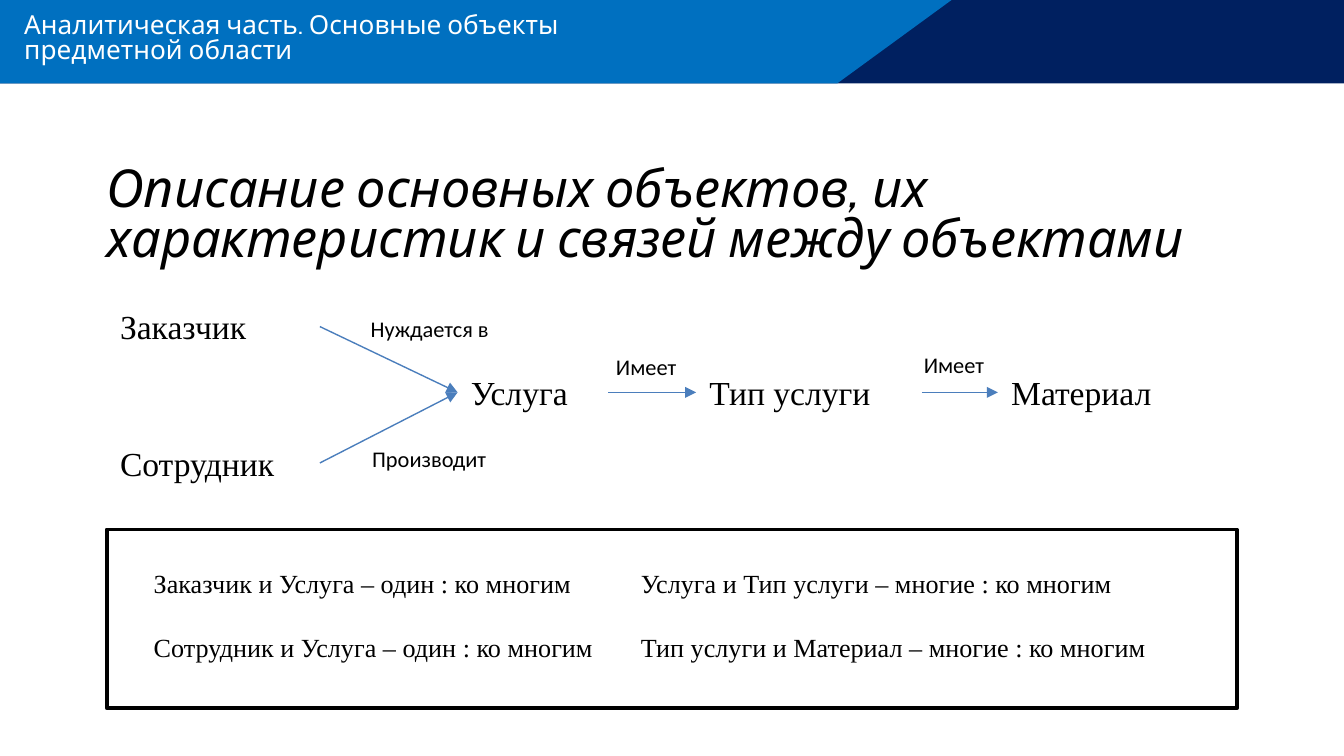
"""Build the slide describing the main objects of the domain and their relations."""
from lxml import etree
from pptx import Presentation
from pptx.dml.color import RGBColor
from pptx.enum.shapes import MSO_CONNECTOR, MSO_SHAPE
from pptx.enum.text import MSO_ANCHOR, MSO_AUTO_SIZE, PP_ALIGN
from pptx.oxml.ns import qn
from pptx.util import Pt

STRAIGHT = MSO_CONNECTOR.STRAIGHT
RECTANGLE = MSO_SHAPE.RECTANGLE
TOP, LEFT = MSO_ANCHOR.TOP, PP_ALIGN.LEFT
NO_FIT = MSO_AUTO_SIZE.NONE
RIGHT_SIDE, LEFT_SIDE = 3, 1
PX = 4572

THEME = {
    "navy": RGBColor.from_string("002060"),
    "blue": RGBColor.from_string("0070C0"),
    "arrow": RGBColor.from_string("4B7EBC"),
    "white": RGBColor.from_string("FFFFFF"),
    "black": RGBColor.from_string("000000"),
    "header": {"name": "Cabin", "size": Pt(14)},
    "subtitle": {"name": "Cabin", "size": Pt(28), "italic": True},
    "node": {"name": "Times New Roman", "size": Pt(18)},
    "label": {"name": "Calibri", "size": Pt(12)},
    "relation": {"name": "Times New Roman", "size": Pt(14)},
}


def place(box, left, top, width, height):
    values = {"left": left, "top": top, "width": width, "height": height}
    for name, value in values.items():
        setattr(box, name, value * PX)


def write(box, lines, style, color="black", spacing=1.0):
    frame = box.text_frame
    frame_format = {"word_wrap": True, "auto_size": NO_FIT, "vertical_anchor": TOP}
    for name, value in frame_format.items():
        setattr(frame, name, value)
    frame.text = "\n".join(lines)
    for para in frame.paragraphs:
        para_format = {"alignment": LEFT, "line_spacing": spacing, "space_before": Pt(0)}
        for name, value in para_format.items():
            setattr(para, name, value)
        for span in para.runs:
            for name, value in THEME[style].items():
                setattr(span.font, name, value)
            span.font.color.rgb = THEME[color]


deck = Presentation()
deck.slide_width, deck.slide_height = 2000 * PX, 1125 * PX
page = deck.slides.add_slide(deck.slide_layouts[1])
shapes = page.shapes

banner = shapes.add_shape(RECTANGLE, 0, 0, 2000 * PX, 124 * PX)
outline = shapes.build_freeform(0, 0, scale=PX)
outline.add_line_segments([(1416, 0), (1246, 124), (0, 124)], close=True)
ribbon = outline.convert_to_shape()
for band, color in ((banner, "navy"), (ribbon, "blue")):
    band.shadow.inherit = False
    band.fill.solid()
    band.fill.fore_color.rgb = THEME[color]
    band.line.fill.background()

header = shapes.title
place(header, 16, 12, 1800, 134)
write(header, ["Аналитическая часть. Основные объекты", "предметной области"],
      "header", "white", 0.8)
ribbon.element.addnext(header.element)

subtitle = page.placeholders[1]
place(subtitle, 158, 247, 1682, 156)
subtitle_format = {"margin_left": 0, "margin_top": 2 * PX, "margin_right": 0, "margin_bottom": 0}
for name, value in subtitle_format.items():
    setattr(subtitle.text_frame, name, value)
write(subtitle, ["Описание основных объектов, их характеристик и связей между объектами"],
      "subtitle", spacing=0.8)
properties = subtitle.text_frame.paragraphs[0]._p.get_or_add_pPr()
properties.set("marL", "0")
properties.set("indent", "0")
etree.SubElement(properties, qn("a:buNone"))

nodes = {}
for text, left, top, width in (
    ("Заказчик", 159, 446, 317),
    ("Сотрудник", 159, 649, 317),
    ("Услуга", 681, 544, 224),
    ("Тип услуги", 1036, 544, 336),
    ("Материал", 1485, 544, 298),
):
    nodes[text] = shapes.add_textbox(left * PX, top * PX, width * PX, 80 * PX)
    write(nodes[text], [text], "node")

for source, target, text, left, top, width in (
    ("Заказчик", "Услуга", "Нуждается в", 532, 459, 244),
    ("Сотрудник", "Услуга", "Производит", 534, 652, 242),
    ("Услуга", "Тип услуги", "Имеет", 897, 516, 148),
    ("Тип услуги", "Материал", "Имеет", 1355, 513, 148),
):
    arrow = shapes.add_connector(STRAIGHT, 0, 0, 0, 0)
    arrow.begin_connect(nodes[source], RIGHT_SIDE)
    arrow.end_connect(nodes[target], LEFT_SIDE)
    arrow.line.color.rgb = THEME["arrow"]
    arrow.line.width = Pt(0.75)
    etree.SubElement(arrow.line._get_or_add_ln(), qn("a:tailEnd"), type="triangle")
    etree.SubElement(arrow.element.spPr, qn("a:effectLst"))
    label = shapes.add_textbox(left * PX, top * PX, width * PX, 60 * PX)
    write(label, [text], "label")

panel = shapes.add_shape(RECTANGLE, 159 * PX, 788 * PX, 1682 * PX, 266 * PX)
panel.shadow.inherit = False
panel.fill.solid()
panel.fill.fore_color.rgb = THEME["white"]
panel.line.color.rgb = THEME["black"]
panel.line.width = Pt(2)

relations = (
    (209, 724, ("Заказчик и Услуга – один : ко многим",
                "Сотрудник и Услуга – один : ко многим")),
    (934, 800, ("Услуга и Тип услуги – многие : ко многим",
                "Тип услуги и Материал – многие : ко многим")),
)
for left, width, texts in relations:
    for row, text in enumerate(texts):
        relation = shapes.add_textbox(left * PX, (835 + 95 * row) * PX, width * PX, 68 * PX)
        write(relation, [text], "relation")

deck.save("out.pptx")
